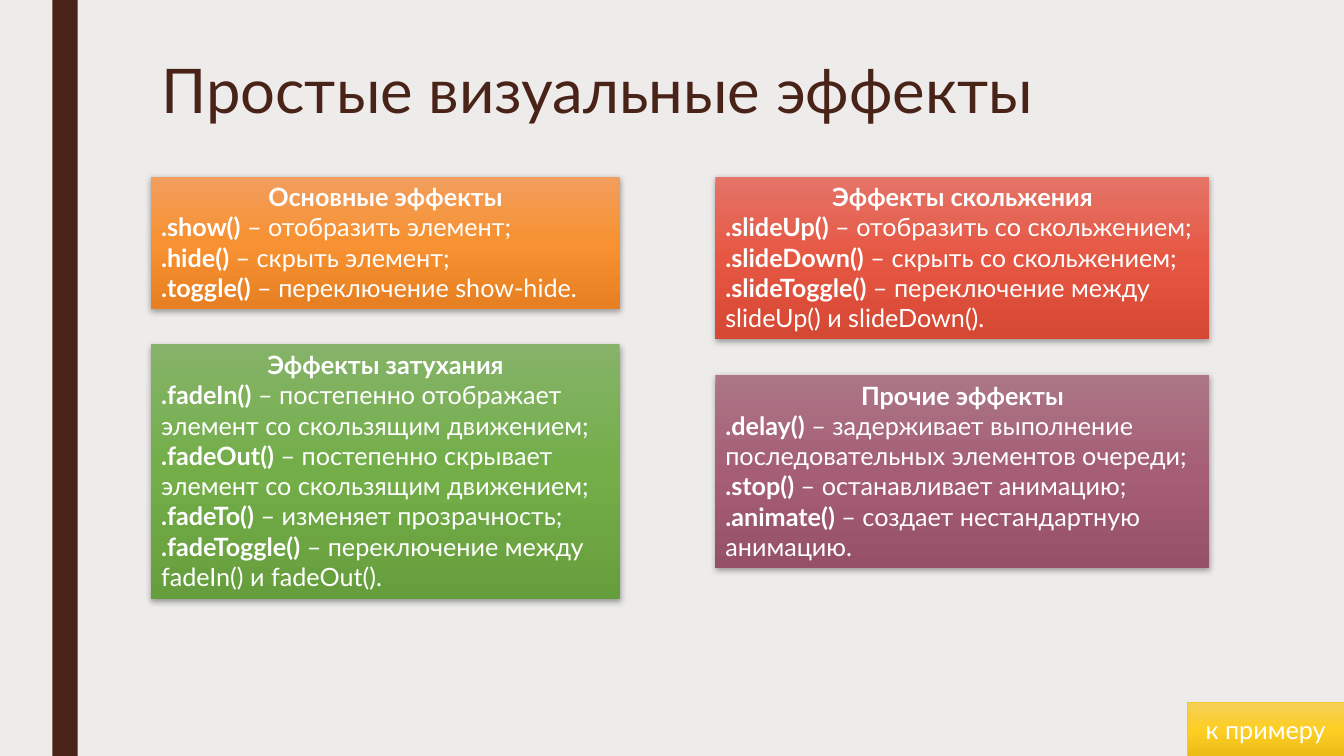
from dataclasses import dataclass

from lxml.etree import SubElement
from pptx import Presentation
from pptx.dml.color import RGBColor
from pptx.enum.shapes import MSO_SHAPE
from pptx.enum.text import MSO_ANCHOR, MSO_AUTO_SIZE, PP_ALIGN
from pptx.oxml.ns import qn
from pptx.util import Cm, Pt


@dataclass(frozen=True)
class Theme:
    font: str = "Lato"
    title_size: int = 44
    text_size: int = 18
    background: str = "EDECEB"
    brown: str = "4A2318"
    white: str = "FFFFFF"
    shadow: str = "000000"
    button_line: str = "F3C82E"
    orange: tuple = ("F29E5E", "F79131", "E68022")
    green: tuple = ("85B369", "73AE49", "669E3D")
    red: tuple = ("E47467", "E65743", "D54833")
    plum: tuple = ("AC7687", "A55E75", "965067")
    yellow: tuple = ("F6CF58", "FDCE24", "ECBD15")


THEME = Theme()
SLIDE_WIDTH, SLIDE_HEIGHT = 33.87, 19.05
CONTENT_LEFT, CARDS_TOP, CARD_GAP = 3.81, 4.45, 0.9
LINE_HEIGHT, CARD_PADDING = 0.77, 0.25

# Column: left, width, cards. Card: heading, colours, text lines, effects.
COLUMNS = [
    (CONTENT_LEFT, 11.81, [
        ("Основные эффекты", THEME.orange, 4, [
            (".show()", "отобразить элемент;"),
            (".hide()", "скрыть элемент;"),
            (".toggle()", "переключение show-hide."),
        ]),
        ("Эффекты затухания", THEME.green, 8, [
            (".fadeIn()", "постепенно отображает элемент со скользящим движением;"),
            (".fadeOut()", "постепенно скрывает элемент со скользящим движением;"),
            (".fadeTo()", "изменяет прозрачность;"),
            (".fadeToggle()", "переключение между fadeIn() и fadeOut()."),
        ]),
    ]),
    (18.03, 12.45, [
        ("Эффекты скольжения", THEME.red, 5, [
            (".slideUp()", "отобразить со скольжением;"),
            (".slideDown()", "скрыть со скольжением;"),
            (".slideToggle()", "переключение между slideUp() и slideDown()."),
        ]),
        ("Прочие эффекты", THEME.plum, 6, [
            (".delay()", "задерживает выполнение последовательных элементов очереди;"),
            (".stop()", "останавливает анимацию;"),
            (".animate()", "создает нестандартную анимацию."),
        ]),
    ]),
]


def rgb(color):
    return RGBColor.from_string(color)


def format_run(run, size=THEME.text_size, color=THEME.white, bold=False):
    run.font.name = THEME.font
    run.font.size = Pt(size)
    run.font.color.rgb = rgb(color)
    run.font.bold = bold


def fill_downwards(shape, colors):
    """Fill with evenly spaced colours from top to bottom."""
    shape.fill.gradient()
    shape.fill.gradient_angle = 270
    stops = shape.element.spPr.find(qn("a:gradFill")).find(qn("a:gsLst"))
    for stop in list(stops):
        stops.remove(stop)
    for index, color in enumerate(colors):
        position = index * 100000 // (len(colors) - 1)
        stop = SubElement(stops, qn("a:gs"), pos=str(position))
        SubElement(stop, qn("a:srgbClr"), val=color)


def cast_shadow(shape):
    effects = shape.element.spPr.find(qn("a:effectLst"))
    shadow = SubElement(effects, qn("a:outerShdw"), blurRad=str(Pt(4.5)),
                        dist=str(Pt(1.5)), dir="5400000", algn="ctr", rotWithShape="0")
    color = SubElement(shadow, qn("a:srgbClr"), val=THEME.shadow)
    SubElement(color, qn("a:alpha"), val="35000")


def add_block(slide, preset, left, top, width, height):
    """Add a preset shape without line or shadow, with wrapped text."""
    block = slide.shapes.add_shape(preset, Cm(left), Cm(top), Cm(width), Cm(height))
    block.shadow.inherit = False
    block.line.fill.background()
    block.text_frame.word_wrap = True
    return block


def add_side_band(slide, left, width):
    band = add_block(slide, MSO_SHAPE.RECTANGLE, left, 0, width, SLIDE_HEIGHT)
    band.fill.solid()
    band.fill.fore_color.rgb = rgb(THEME.brown)


def set_title(slide, text, left, top, width, height):
    title = slide.shapes.title
    title.left, title.top, title.width, title.height = map(Cm, (left, top, width, height))
    title.text_frame.text = text
    title.text_frame.vertical_anchor = MSO_ANCHOR.TOP
    title.text_frame.auto_size = MSO_AUTO_SIZE.NONE
    heading = title.text_frame.paragraphs[0]
    heading.alignment = PP_ALIGN.LEFT
    heading.line_spacing = 0.89
    format_run(heading.runs[0], THEME.title_size, THEME.brown)


def add_card(slide, heading, colors, effects, left, top, width, height):
    card = add_block(slide, MSO_SHAPE.RECTANGLE, left, top, width, height)
    fill_downwards(card, colors)
    cast_shadow(card)
    frame = card.text_frame
    frame.vertical_anchor = MSO_ANCHOR.TOP
    frame.auto_size = MSO_AUTO_SIZE.SHAPE_TO_FIT_TEXT
    frame.text = heading
    frame.paragraphs[0].alignment = PP_ALIGN.CENTER
    format_run(frame.paragraphs[0].runs[0], bold=True)
    for method, meaning in effects:
        effect = frame.add_paragraph()
        effect.alignment = PP_ALIGN.LEFT
        effect.text = method
        effect.add_run().text = f" – {meaning}"
        for run, bold in zip(effect.runs, (True, False)):
            format_run(run, bold=bold)


def add_column(slide, cards, left, top, width):
    """Stack cards downwards, each as tall as its lines of text."""
    for heading, colors, lines, effects in cards:
        height = lines * LINE_HEIGHT + CARD_PADDING
        add_card(slide, heading, colors, effects, left, top, width, height)
        top += height + CARD_GAP


def add_example_button(slide, text, width, height):
    """Place the button in the bottom right corner."""
    button = add_block(slide, MSO_SHAPE.ACTION_BUTTON_CUSTOM,
                       SLIDE_WIDTH - width, SLIDE_HEIGHT - height, width, height)
    fill_downwards(button, THEME.yellow)
    button.line.color.rgb = rgb(THEME.button_line)
    button.line.width = Pt(0.5)
    button.text_frame.text = text
    button.text_frame.vertical_anchor = MSO_ANCHOR.MIDDLE
    label = button.text_frame.paragraphs[0]
    label.alignment = PP_ALIGN.CENTER
    format_run(label.runs[0])


def build_effects_slide(presentation):
    slide = presentation.slides.add_slide(presentation.slide_layouts[5])
    slide.background.fill.solid()
    slide.background.fill.fore_color.rgb = rgb(THEME.background)
    add_side_band(slide, 1.32, 0.64)
    set_title(slide, "Простые визуальные эффекты", CONTENT_LEFT, 1.4, 26.67, 2.13)
    add_example_button(slide, "к примеру", 3.95, 1.35)
    for left, width, cards in COLUMNS:
        add_column(slide, cards, left, CARDS_TOP, width)


def main():
    presentation = Presentation()
    presentation.slide_width = Cm(SLIDE_WIDTH)
    presentation.slide_height = Cm(SLIDE_HEIGHT)
    build_effects_slide(presentation)
    presentation.save("out.pptx")


if __name__ == "__main__":
    main()
